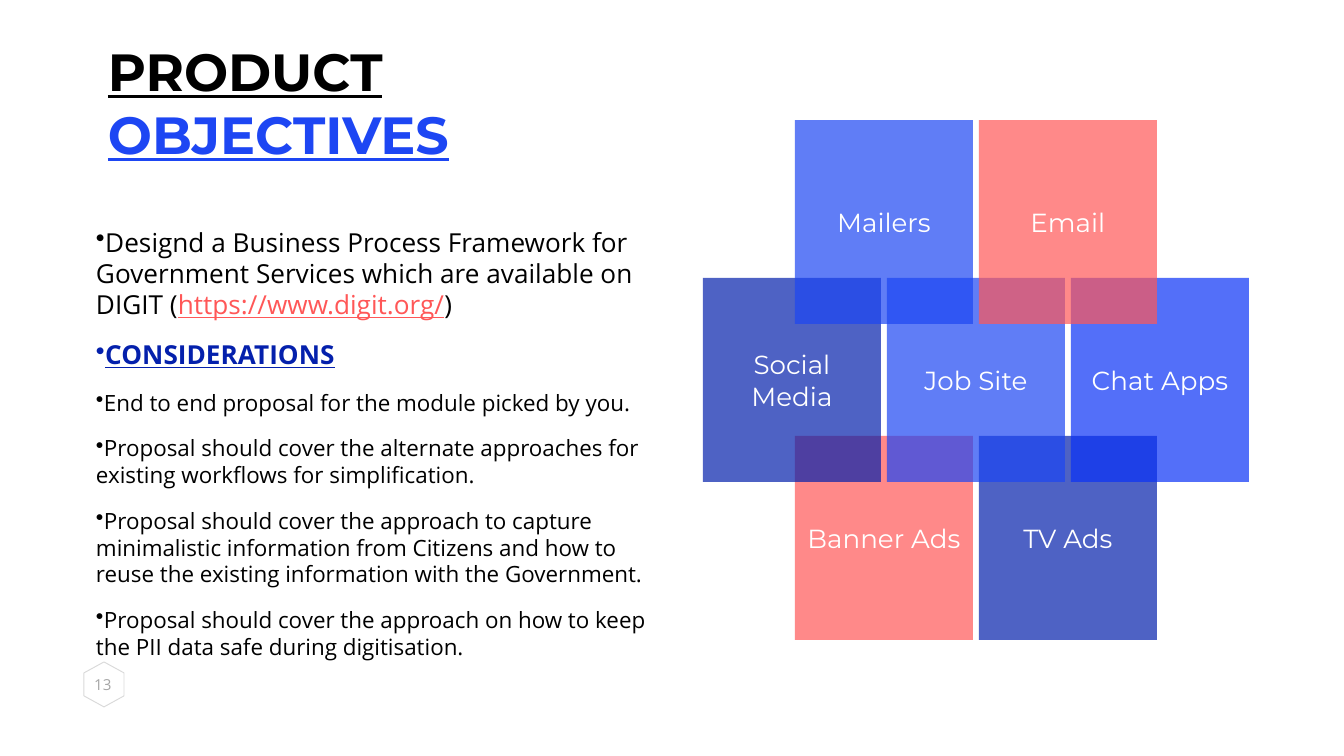
from dataclasses import dataclass

from lxml import etree
from pptx import Presentation
from pptx import util as u
from pptx.dml import color
from pptx.enum import shapes, text
from pptx.oxml import ns

SCALE = 914400 / 134.4
HUES = {
    "black": "000000",
    "white": "FFFFFF",
    "gray": "A6A6A6",
    "blue": "1D46F3",
    "vivid": "0B32F7",
    "navy": "0420AC",
    "coral": "FF5757",
}
HEAD = "Montserrat"
BODY = "Open Sans"


@dataclass
class Run:
    words: str
    size: float
    hue: str = "black"
    face: str = BODY
    bold: bool = False
    under: bool = False


@dataclass
class Tile:
    label: str
    col: int
    row: int
    hue: str


TILES = [
    Tile("TV Ads", 3, 2, "navy"),
    Tile("Banner Ads", 1, 2, "coral"),
    Tile("Chat Apps", 4, 1, "vivid"),
    Tile("Job Site", 2, 1, "blue"),
    Tile("Social\nMedia", 0, 1, "navy"),
    Tile("Email", 3, 0, "coral"),
    Tile("Mailers", 1, 0, "blue"),
]

POINTS = [
    [
        Run("Designd a Business Process Framework for Government Services "
            "which are available on DIGIT (", 14),
        Run("https://www.digit.org/", 14, "coral", under=True),
        Run(")", 14),
    ],
    [Run("CONSIDERATIONS", 14, "navy", bold=True, under=True)],
    [Run("End to end proposal for the module picked by you.", 12)],
    [Run("Proposal should cover the alternate approaches for existing "
         "workflows for simplification.", 12)],
    [Run("Proposal should cover the approach to capture minimalistic "
         "information from Citizens and how to reuse the existing "
         "information with the Government.", 12)],
    [Run("Proposal should cover the approach on how to keep the PII data "
         "safe during digitisation.", 12)],
]


def px(num: int) -> int:
    return round(num * SCALE)


def rgb(hue: str) -> color.RGBColor:
    return color.RGBColor.from_string(HUES[hue])


def fade(shape, share: int) -> None:
    for node in shape._element.spPr.iter(ns.qn("a:srgbClr")):
        etree.SubElement(node, ns.qn("a:alpha"), val=str(share * 1000))


def setup(shape, anchor):
    frame = shape.text_frame
    frame.word_wrap = True
    frame.auto_size = text.MSO_AUTO_SIZE.NONE
    frame.vertical_anchor = anchor
    frame.margin_left = frame.margin_right = 0
    frame.margin_top = frame.margin_bottom = 0
    return frame


def write(para, runs: list[Run], align=text.PP_ALIGN.LEFT) -> None:
    para.alignment = align
    for item in runs:
        for step, line in enumerate(item.words.split("\n")):
            if step:
                para.add_line_break()
            if not line:
                continue
            run = para.add_run()
            run.text = line
            font = run.font
            font.name = item.face
            font.size = u.Pt(item.size)
            font.bold = item.bold
            font.underline = item.under
            font.color.rgb = rgb(item.hue)


def title(slide) -> None:
    shape = slide.shapes.title
    shape.left, shape.top = px(108), px(39)
    shape.width, shape.height = px(527), px(126)
    frame = setup(shape, text.MSO_ANCHOR.TOP)
    write(frame.paragraphs[0], [
        Run("PRODUCT\n", 28, "black", HEAD, True, True),
        Run("OBJECTIVES", 28, "blue", HEAD, True, True),
    ])


def points(slide) -> None:
    box = slide.shapes.add_textbox(px(96), px(226), px(582), px(406))
    frame = setup(box, text.MSO_ANCHOR.TOP)
    for index, runs in enumerate(POINTS):
        para = frame.add_paragraph() if index else frame.paragraphs[0]
        props = para._p.get_or_add_pPr()
        props.set("marL", "0")
        props.set("indent", str(-u.Inches(0.25)))
        etree.SubElement(props, ns.qn("a:buChar"), char="•")
        if index:
            para.space_before = u.Pt(10)
        write(para, runs)


def tile(slide, item: Tile) -> None:
    left, top = 703 + 92 * item.col, 120 + 158 * item.row
    shape = slide.shapes.add_shape(
        shapes.MSO_SHAPE.RECTANGLE, px(left), px(top), px(178), px(204))
    shape.shadow.inherit = False
    shape.fill.solid()
    shape.fill.fore_color.rgb = rgb(item.hue)
    fade(shape, 70)
    shape.line.fill.background()
    frame = setup(shape, text.MSO_ANCHOR.MIDDLE)
    write(frame.paragraphs[0], [Run(item.label, 14, "white", HEAD)],
          text.PP_ALIGN.CENTER)


def badge(slide) -> None:
    pen = slide.shapes.build_freeform(104, 662, scale=SCALE)
    pen.add_line_segments(
        [(124, 673), (124, 696), (104, 707), (84, 696), (84, 673)])
    shape = pen.convert_to_shape()
    shape.shadow.inherit = False
    shape.fill.background()
    shape.line.width = u.Pt(0.5)
    shape.line.color.rgb = rgb("black")
    fade(shape, 15)
    box = slide.shapes.add_textbox(px(75), px(671), px(56), px(26))
    frame = setup(box, text.MSO_ANCHOR.MIDDLE)
    write(frame.paragraphs[0], [Run("13", 8.1, "gray")],
          text.PP_ALIGN.CENTER)


def main() -> None:
    deck = Presentation()
    deck.slide_width, deck.slide_height = px(1344), px(756)
    slide = deck.slides.add_slide(deck.slide_layouts[5])
    title(slide)
    for item in TILES:
        tile(slide, item)
    points(slide)
    badge(slide)
    deck.save("out.pptx")


if __name__ == "__main__":
    main()
